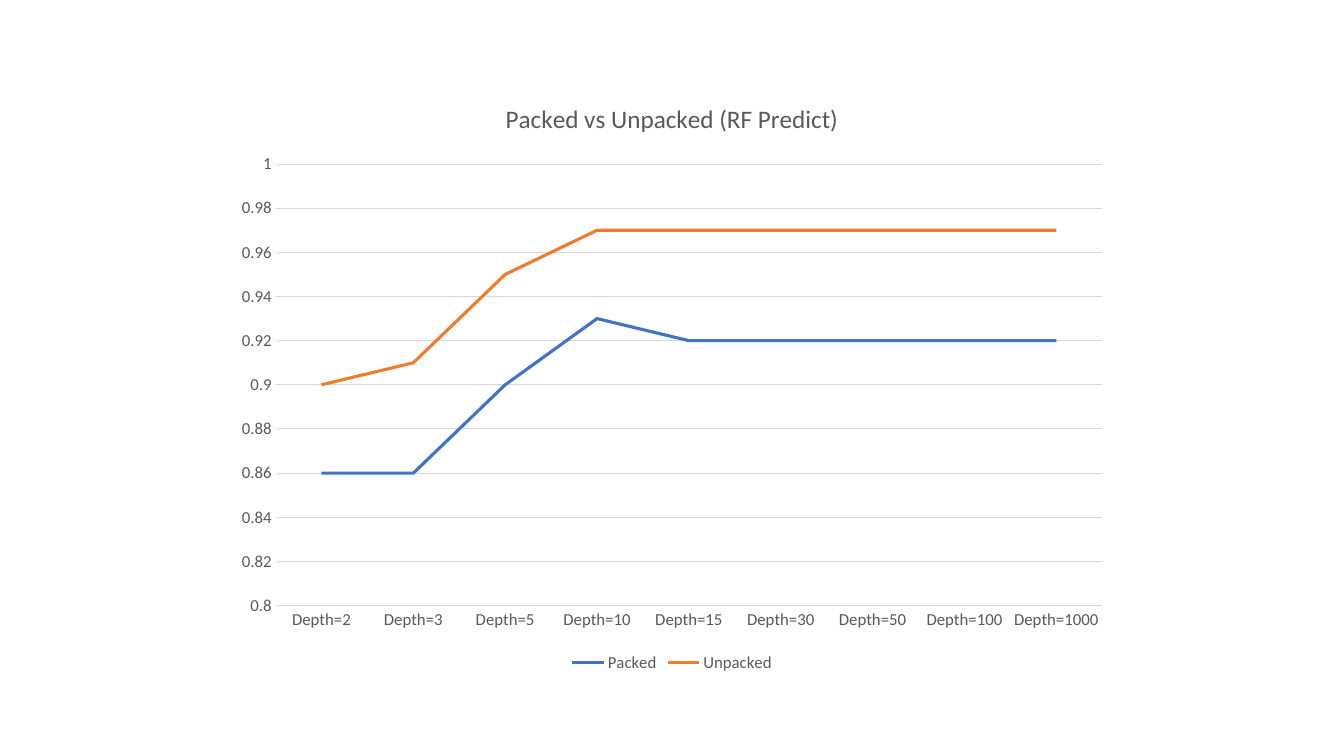
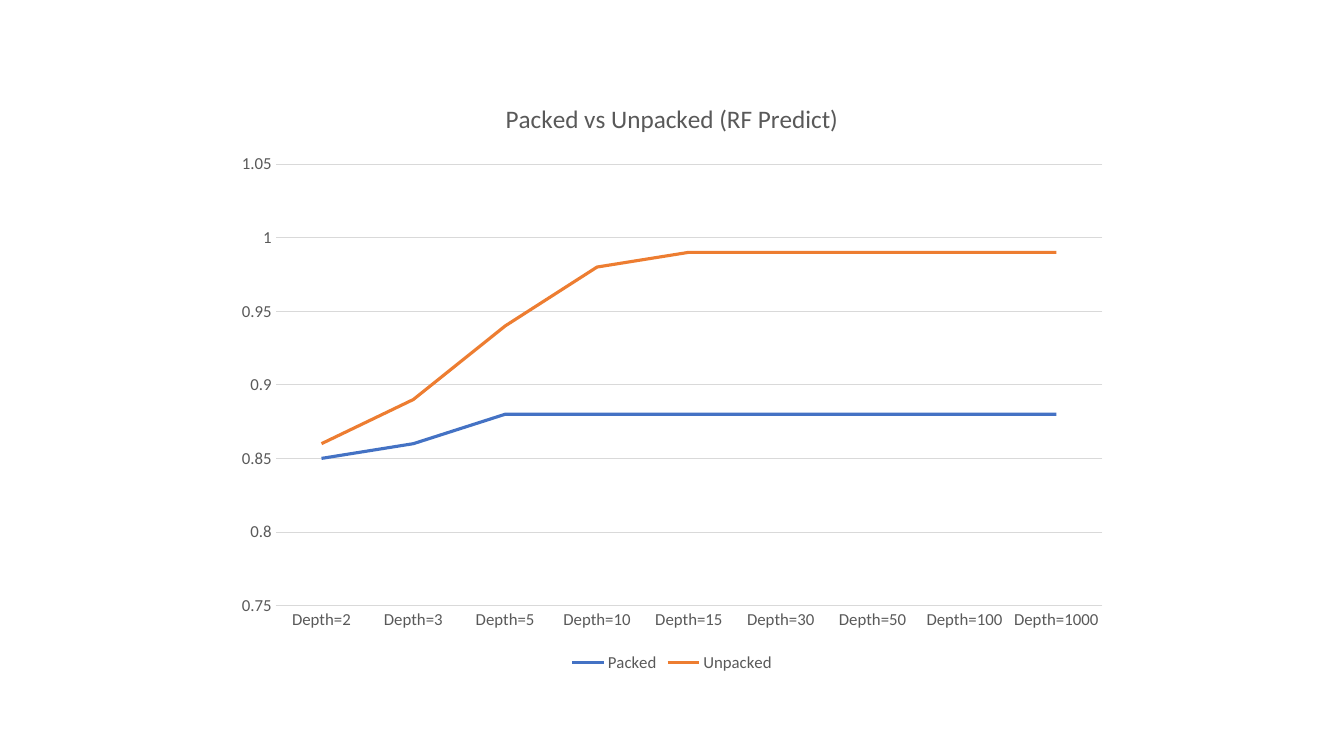
"""Build two line-chart slides comparing packed and unpacked prediction scores."""
from pptx import Presentation
from pptx.chart.data import CategoryChartData
from pptx.dml.color import RGBColor
from pptx.enum.chart import XL_CHART_TYPE, XL_LEGEND_POSITION, XL_TICK_MARK
from pptx.util import Inches, Pt

HEADING = "Packed vs Unpacked (RF Predict)"
DEPTHS = [f"Depth={depth}" for depth in (2, 3, 5, 10, 15, 30, 50, 100, 1000)]
LINE_COLOURS = {"Packed": "4472C4", "Unpacked": "ED7D31"}
COMPARISONS = [
    {
        "scale": (0.8, 1, 0.02),
        "Packed": (0.86, 0.86, 0.9, 0.93, 0.92, 0.92, 0.92, 0.92, 0.92),
        "Unpacked": (0.9, 0.91, 0.95, 0.97, 0.97, 0.97, 0.97, 0.97, 0.97),
    },
    {
        "scale": (0.75, 1.05, 0.05),
        "Packed": (0.85, 0.86, 0.88, 0.88, 0.88, 0.88, 0.88, 0.88, 0.88),
        "Unpacked": (0.86, 0.89, 0.94, 0.98, 0.99, 0.99, 0.99, 0.99, 0.99),
    },
]
SLIDE_WIDTH, SLIDE_HEIGHT = 13.33, 7.5
CHART_WIDTH, CHART_HEIGHT = 8.89, 5.93
FONT, TEXT_COLOUR, GRID_COLOUR = "Calibri", "595959", "D9D9D9"


def colour(hex_code):
    return RGBColor.from_string(hex_code)


def style_font(font, size=12):
    font.name, font.size, font.bold = FONT, Pt(size), False
    font.color.rgb = colour(TEXT_COLOUR)


def style_line(line, hex_code, width):
    line.color.rgb = colour(hex_code)
    line.width = Pt(width)


def write_heading(chart, text, size):
    chart.has_title = True
    chart.chart_title.include_in_layout = False
    heading = chart.chart_title.text_frame.paragraphs[0]
    run = heading.add_run()
    run.text = text
    style_font(run.font, size)


def style_axes(chart, lowest, highest, step):
    depths, scores = chart.category_axis, chart.value_axis
    for axis in (depths, scores):
        axis.major_tick_mark = axis.minor_tick_mark = XL_TICK_MARK.NONE
        style_font(axis.tick_labels.font)
    style_line(depths.format.line, GRID_COLOUR, 0.75)
    scores.format.line.fill.background()
    style_line(scores.major_gridlines.format.line, GRID_COLOUR, 0.75)
    scores.minimum_scale, scores.maximum_scale = lowest, highest
    scores.major_unit = step
    scores.tick_labels.number_format = "General"
    scores.tick_labels.number_format_is_linked = False


def add_comparison(slide, comparison):
    scores = CategoryChartData()
    scores.categories = DEPTHS
    for name in LINE_COLOURS:
        scores.add_series(name, comparison[name])
    chart = slide.shapes.add_chart(
        XL_CHART_TYPE.LINE,
        Inches((SLIDE_WIDTH - CHART_WIDTH) / 2),
        Inches((SLIDE_HEIGHT - CHART_HEIGHT) / 2),
        Inches(CHART_WIDTH),
        Inches(CHART_HEIGHT),
        scores,
    ).chart
    style_font(chart.font)
    write_heading(chart, HEADING, size=18)
    style_axes(chart, *comparison["scale"])
    chart.has_legend = True
    chart.legend.position = XL_LEGEND_POSITION.BOTTOM
    chart.legend.include_in_layout = False
    style_font(chart.legend.font)
    chart.plots[0].vary_by_categories = False
    for series in chart.plots[0].series:
        series.smooth = False
        style_line(series.format.line, LINE_COLOURS[series.name], 2.25)


deck = Presentation()
deck.slide_width, deck.slide_height = Inches(SLIDE_WIDTH), Inches(SLIDE_HEIGHT)
for comparison in COMPARISONS:
    add_comparison(deck.slides.add_slide(deck.slide_layouts[6]), comparison)
deck.save("out.pptx")
